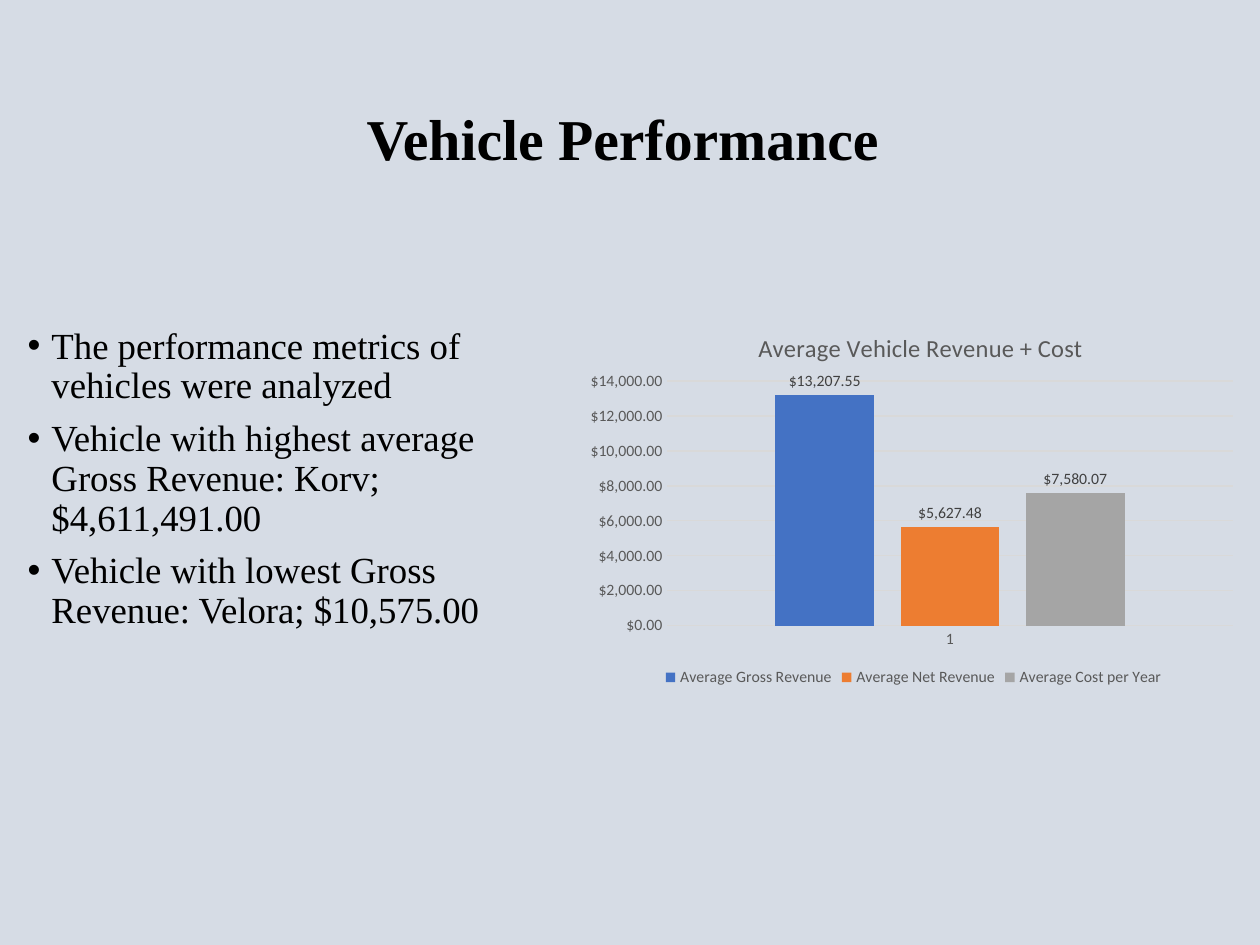
from dataclasses import dataclass

from lxml.etree import SubElement
from pptx import Presentation
from pptx.chart.data import CategoryChartData as Data
from pptx.dml.color import RGBColor as Color
from pptx.enum.chart import XL_CHART_TYPE as Kind
from pptx.enum.chart import XL_LABEL_POSITION as Spot
from pptx.enum.chart import XL_LEGEND_POSITION as Side
from pptx.enum.chart import XL_TICK_MARK as Tick
from pptx.enum.text import MSO_ANCHOR as Anchor
from pptx.enum.text import PP_ALIGN as Align
from pptx.oxml import parse_xml
from pptx.oxml.ns import nsdecls, qn
from pptx.util import Inches, Pt

# Content
TITLE = "Vehicle Performance "
POINTS = [
    "The performance metrics of vehicles were analyzed",
    "Vehicle with highest average Gross Revenue: Korv; $4,611,491.00",
    "Vehicle with lowest Gross Revenue: Velora; $10,575.00",
]
HEAD = "Average Vehicle Revenue + Cost"
CATS = ["1"]
SERIES = [
    ("Average Gross Revenue", 13207.55, "4472C4"),
    ("Average Net Revenue", 5627.48, "ED7D31"),
    ("Average Cost per Year", 7580.07, "A5A5A5"),
]
MONEY = '"$"#,##0.00'

# Places: left, top, width, height in inches
TITLE_BOX = (0.69, 0.4, 8.62, 1.45)
LIST_BOX = (0.12, 2.55, 4.25, 4.76)
CHART_BOX = (4.61, 2.41, 5.28, 3.08)
# Shares of the chart area
HEAD_AT = {"x": 0.26, "y": 0.06}
PLOT_AT = {"x": 0.13, "y": 0.2, "w": 0.85, "h": 0.63}
INDENT = 0.19


@dataclass
class Theme:
    back: str = "D6DCE5"
    ink: str = "000000"
    gray: str = "595959"
    dark: str = "404040"
    rule: str = "D9D9D9"
    serif: str = "Times New Roman"
    sans: str = "Calibri"
    title: float = 33
    body: float = 21
    head: float = 14
    base: float = 10
    small: float = 9


theme = Theme()


def style(font, face, size, color, bold=False):
    font.name, font.size, font.bold = face, Pt(size), bold
    font.color.rgb = Color.from_string(color)


def add_text(slide, box, lines, anchor):
    frame = slide.shapes.add_textbox(*map(Inches, box)).text_frame
    frame.word_wrap = True
    frame.vertical_anchor = anchor
    frame.text = "\n".join(lines)
    for para in frame.paragraphs:
        para.line_spacing = 0.9
    return frame.paragraphs


def add_bullet(para):
    props = para._p.get_or_add_pPr()
    props.set("marL", str(Inches(INDENT)))
    props.set("indent", str(-Inches(INDENT)))
    SubElement(props, qn("a:buFont"), typeface="Arial")
    SubElement(props, qn("a:buChar"), char="•")


def layout(places, inner=False):
    target = '<c:layoutTarget val="inner"/>' if inner else ""
    modes = "".join(f'<c:{k}Mode val="edge"/>' for k in "xy")
    sizes = "".join(f'<c:{k} val="{v}"/>' for k, v in places.items())
    return parse_xml(
        f"<c:layout {nsdecls('c')}><c:manualLayout>{target}{modes}{sizes}"
        "</c:manualLayout></c:layout>"
    )


def place(parent, after, node):
    for old in parent.findall(qn("c:layout")):
        parent.remove(old)
    if after is None:
        parent.insert(0, node)
    else:
        after.addnext(node)


def add_chart(slide):
    data = Data(number_format=MONEY)
    data.categories = CATS
    for name, value, _ in SERIES:
        data.add_series(name, [value])
    chart = slide.shapes.add_chart(
        Kind.COLUMN_CLUSTERED, *map(Inches, CHART_BOX), data
    ).chart
    style(chart.font, theme.sans, theme.base, theme.ink)

    # Heading
    chart.has_title = True
    title = chart.chart_title
    title.include_in_layout = False
    title.text_frame.text = HEAD
    style(title.text_frame.paragraphs[0].font, theme.sans, theme.head, theme.gray)
    node = title._element
    place(node, node.find(qn("c:tx")), layout(HEAD_AT))
    place(chart._chartSpace.chart.plotArea, None, layout(PLOT_AT, True))

    # Legend
    chart.has_legend = True
    chart.legend.position = Side.BOTTOM
    chart.legend.include_in_layout = False
    style(chart.legend.font, theme.sans, theme.small, theme.gray)

    # Axes
    cat, val = chart.category_axis, chart.value_axis
    for axis in (cat, val):
        axis.major_tick_mark = axis.minor_tick_mark = Tick.NONE
        style(axis.tick_labels.font, theme.sans, theme.small, theme.gray)
    val.has_major_gridlines = True
    for line in (cat.format.line, val.major_gridlines.format.line):
        line.color.rgb = Color.from_string(theme.rule)
        line.width = Pt(0.75)
    val.format.line.fill.background()
    val.tick_labels.number_format = MONEY
    val.tick_labels.number_format_is_linked = False

    # Columns
    plot = chart.plots[0]
    plot.gap_width, plot.overlap = 219, -27
    plot.vary_by_categories = False
    for bar, (_, _, color) in zip(plot.series, SERIES):
        bar.format.fill.solid()
        bar.format.fill.fore_color.rgb = Color.from_string(color)
        labels = bar.data_labels
        labels.show_value = True
        labels.position = Spot.OUTSIDE_END
        labels.number_format = MONEY
        labels.number_format_is_linked = False
        style(labels.font, theme.sans, theme.small, theme.dark)


def main():
    deck = Presentation()
    deck.slide_width, deck.slide_height = Inches(10), Inches(7.5)
    slide = deck.slides.add_slide(deck.slide_layouts[6])
    slide.background.fill.solid()
    slide.background.fill.fore_color.rgb = Color.from_string(theme.back)

    # Title
    for para in add_text(slide, TITLE_BOX, [TITLE], Anchor.MIDDLE):
        para.alignment = Align.CENTER
        style(para.font, theme.serif, theme.title, theme.ink, True)

    # Bullet list
    for para in add_text(slide, LIST_BOX, POINTS, Anchor.TOP):
        para.space_before = Pt(7.5)
        add_bullet(para)
        style(para.font, theme.serif, theme.body, theme.ink)

    add_chart(slide)
    deck.save("out.pptx")


if __name__ == "__main__":
    main()
